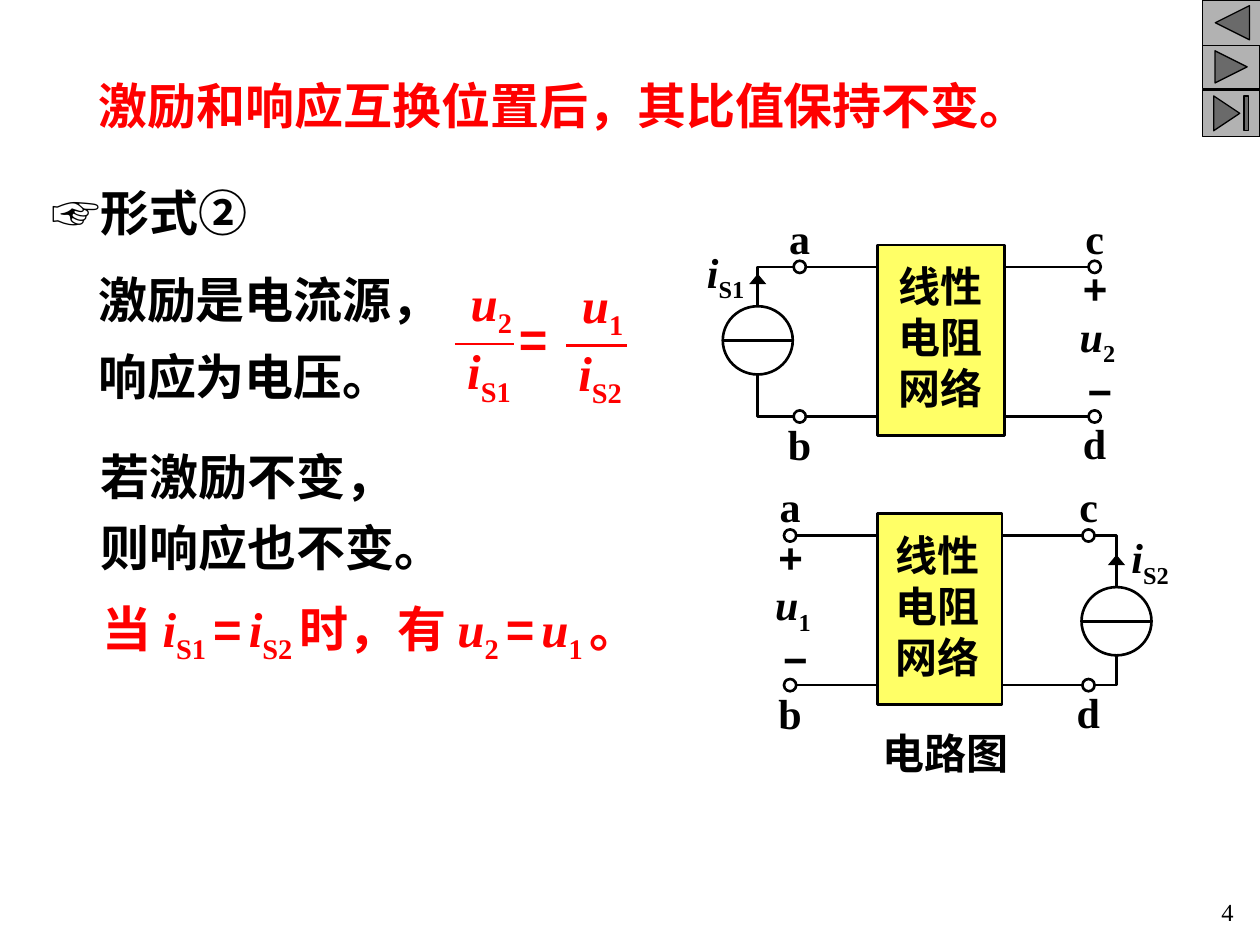
from lxml import etree
from pptx import Presentation
from pptx.dml.color import RGBColor
from pptx.enum.shapes import MSO_CONNECTOR, MSO_SHAPE
from pptx.enum.text import MSO_ANCHOR, MSO_AUTO_SIZE, PP_ALIGN
from pptx.oxml.ns import qn
from pptx.util import Pt

RECTANGLE, OVAL = MSO_SHAPE.RECTANGLE, MSO_SHAPE.OVAL
BUTTON_BACK = MSO_SHAPE.ACTION_BUTTON_BACK_OR_PREVIOUS
BUTTON_NEXT = MSO_SHAPE.ACTION_BUTTON_FORWARD_OR_NEXT
BUTTON_END = MSO_SHAPE.ACTION_BUTTON_END
STRAIGHT = MSO_CONNECTOR.STRAIGHT
CENTER, RIGHT = PP_ALIGN.CENTER, PP_ALIGN.RIGHT
MIDDLE, TOP = MSO_ANCHOR.MIDDLE, MSO_ANCHOR.TOP
GROW = MSO_AUTO_SIZE.SHAPE_TO_FIT_TEXT

COLORS = {"black": "000000", "white": "FFFFFF", "red": "FF0000",
          "yellow": "FFFF66", "gray": "B2B2B2"}
SERIF, SANS, CHINESE = "Times New Roman", "Arial", "Noto Sans CJK SC"
WIDE_INSETS, TIGHT_INSETS = (7.2, 3.6), (1.5, 0.75)
SUBSCRIPT = "-25000"


def color(name):
    return RGBColor.from_string(COLORS[name])


def symbol(letter, subscript):
    """Runs of an italic quantity with an upright subscript."""
    return [(letter, {"italic": True}), (subscript, {"baseline": SUBSCRIPT})]


class SlideBuilder:
    def __init__(self, slide):
        self.slide = slide
        self.line_width = 1.5

    def outline(self, shape, line_color="black", width=None):
        shape.line.color.rgb = color(line_color)
        shape.line.width = Pt(width or self.line_width)

    def shape(self, kind, left, top, width, height, fill, line_width=None):
        shape = self.slide.shapes.add_shape(kind, Pt(left), Pt(top), Pt(width), Pt(height))
        shape.shadow.inherit = False
        shape.fill.solid()
        shape.fill.fore_color.rgb = color(fill)
        self.outline(shape, width=line_width)

    def circle(self, x, y, width, height):
        self.shape(OVAL, x - width / 2, y - height / 2, width, height, "white")

    def line(self, x1, y1, x2, y2, line_color="black", arrow=False):
        connector = self.slide.shapes.add_connector(STRAIGHT, Pt(x1), Pt(y1), Pt(x2), Pt(y2))
        self.outline(connector, line_color)
        properties = connector._element.spPr
        if arrow:
            etree.SubElement(properties.find(qn("a:ln")), qn("a:tailEnd"),
                             type="triangle", w="lg", len="med")
        etree.SubElement(properties, qn("a:effectLst"))

    def polyline(self, points):
        start, *rest = [(Pt(x), Pt(y)) for x, y in points]
        builder = self.slide.shapes.build_freeform(*start)
        builder.add_line_segments(rest, close=False)
        shape = builder.convert_to_shape()
        shape.shadow.inherit = False
        shape.fill.background()
        self.outline(shape)

    def text(self, left, top, width, height, paragraphs, size=28, font=SERIF,
             text_color="black", bold=True, insets=WIDE_INSETS, wrap=True,
             anchor=TOP, align=None, spacing=None, before=0):
        """Each paragraph is a string or a list of (text, format overrides)."""
        box = self.slide.shapes.add_textbox(Pt(left), Pt(top), Pt(width), Pt(height))
        frame = box.text_frame
        across, down = insets
        frame_format = {"margin_left": Pt(across), "margin_right": Pt(across),
                        "margin_top": Pt(down), "margin_bottom": Pt(down),
                        "word_wrap": wrap, "auto_size": GROW, "vertical_anchor": anchor}
        for name, value in frame_format.items():
            setattr(frame, name, value)
        for index, content in enumerate(paragraphs):
            paragraph = frame.paragraphs[0] if index == 0 else frame.add_paragraph()
            paragraph_format = {"alignment": align, "line_spacing": spacing,
                                "space_before": Pt(before if index else 0)}
            for name, value in paragraph_format.items():
                setattr(paragraph, name, value)
            runs = [(content, {})] if isinstance(content, str) else content
            for run_text, overrides in runs:
                run_format = {"name": font, "size": Pt(size), "bold": bold,
                              "italic": False, **overrides}
                self.run(paragraph, run_text, text_color, run_format)

    def run(self, paragraph, run_text, text_color, run_format):
        run = paragraph.add_run()
        run.text = run_text
        baseline = run_format.pop("baseline", None)
        for name, value in run_format.items():
            setattr(run.font, name, value)
        run.font.color.rgb = color(text_color)
        properties = run._r.get_or_add_rPr()
        etree.SubElement(properties, qn("a:ea"), typeface=CHINESE)
        if baseline:
            properties.set("baseline", baseline)

    def label(self, left, top, width, content, height=30, **style):
        self.text(left, top, width, height, [content], insets=TIGHT_INSETS,
                  wrap=False, **{"size": 24, **style})

    def circuit(self, top, box_left, box_width, text_left, left_x, right_x, source_x,
                source_top, source_label, source_name, voltage_name):
        """A network box with a current source on one side and a voltage on the other."""
        upper, lower = top + 12.5, top + 98
        box_right = box_left + box_width
        source_on_left = source_x < box_left
        source_edge, port_edge = ((box_left, box_right) if source_on_left
                                  else (box_right, box_left))
        port_x = right_x if source_on_left else left_x

        self.shape(RECTANGLE, box_left, top, box_width, 109, "yellow")
        self.text(text_left, top + 14, 60.5, 83, ["线性", "电阻", "网络"], size=24,
                  insets=TIGHT_INSETS, align=CENTER, spacing=0.8, before=6)

        self.polyline([(source_edge, upper), (source_x, upper),
                       (source_x, lower), (source_edge, lower)])
        for y in (upper, lower):
            self.line(port_edge, y, port_x, y)
        self.line(source_x, source_top, source_x, source_top - 18.5, arrow=True)
        middle = source_top + 19.5
        self.circle(source_x, middle, 40, 39)
        self.line(source_x - 20, middle, source_x + 20, middle)
        self.label(*source_label, 27, symbol("i", source_name), height=34.5)

        for name, x, y, label_top, width in (
                ("a", left_x, upper, top - 19.5, 15), ("b", left_x, lower, top + 98.5, 16.5),
                ("c", right_x, upper, top - 19.5, 13.5), ("d", right_x, lower, top + 98, 16.5)):
            self.circle(x, y, 7, 7)
            self.label(x - width / 2, label_top, width, name)

        self.label(port_x - 8.25, top + 9.5, 16.5, "+", font=SANS)
        self.label(port_x - 10, top + 36.5, 27, symbol("u", voltage_name), height=34.5)
        self.label(port_x - 5.5, top + 68, 11, "−", font=SANS)

    def fraction(self, bar_left, bar_right, bar_y, numerator, denominator):
        self.line(bar_left, bar_y, bar_right, bar_y, "red")
        style = {"size": 28, "text_color": "red", "height": 40.5}
        self.label(bar_left + 7.5, bar_y - 41.5, 31, symbol("u", numerator), **style)
        self.label(bar_left + 5.5, bar_y - 2.5, 31, symbol("i", denominator), **style)


def main():
    presentation = Presentation()
    presentation.slide_width, presentation.slide_height = Pt(720), Pt(540)
    builder = SlideBuilder(presentation.slides.add_slide(presentation.slide_layouts[6]))

    for kind, top, width, height in ((BUTTON_BACK, 0, 34.5, 26),
                                     (BUTTON_NEXT, 26, 33, 24.5),
                                     (BUTTON_END, 51.5, 33, 26.5)):
        builder.shape(kind, 687, top, width, height, "gray", 0.75)

    builder.text(22.5, 100.5, 236, 41,
                 [[("☞", {"name": SANS}), ("形式", {}), ("②", {"name": CHINESE})]],
                 anchor=MIDDLE)
    builder.text(496, 415, 88.5, 30, ["电路图"], size=24, insets=TIGHT_INSETS, align=CENTER)

    builder.circuit(top=140, box_left=501.5, box_width=72.5, text_left=507,
                    left_x=457, right_x=625.5, source_x=433, source_top=175,
                    source_label=(402.5, 140), source_name="S1", voltage_name="2")
    builder.circuit(top=293.5, box_left=501.5, box_width=71, text_left=505.5,
                    left_x=451.5, right_x=622, source_x=638, source_top=335.5,
                    source_label=(645, 303), source_name="S2", voltage_name="1")

    builder.text(49, 147, 210, 88.5, ["激励是电流源，", "响应为电压。"],
                 font=SANS, wrap=False, spacing=1.1, before=7)
    builder.fraction(260, 294, 196.5, "2", "S1")
    builder.label(295, 175.5, 25, "=", size=28, font=SANS, text_color="red", height=35.5)
    builder.fraction(323.5, 358.5, 197.5, "1", "S2")

    equals = [("=", {"name": SANS}), (" ", {"baseline": SUBSCRIPT})]
    builder.text(51.5, 338.5, 374.5, 45.5,
                 [[("当 ", {}), *symbol("i", "S1 "), *equals, *symbol("i", "S2 "),
                   ("时，有 ", {}), *symbol("u", "2 "), *equals, *symbol("u", "1 "),
                   ("。", {})]], text_color="red")
    builder.text(50.5, 245, 245, 88, ["若激励不变，", "则响应也不变。"],
                 font=SANS, spacing=1.2)
    builder.text(49.5, 36.5, 546, 44.5, ["激励和响应互换位置后，其比值保持不变。"],
                 font=SANS, text_color="red", wrap=False, spacing=1.1)
    builder.text(668, 509, 44, 24.5, ["4"], size=14, bold=False, align=RIGHT)

    presentation.save("out.pptx")


if __name__ == "__main__":
    main()
